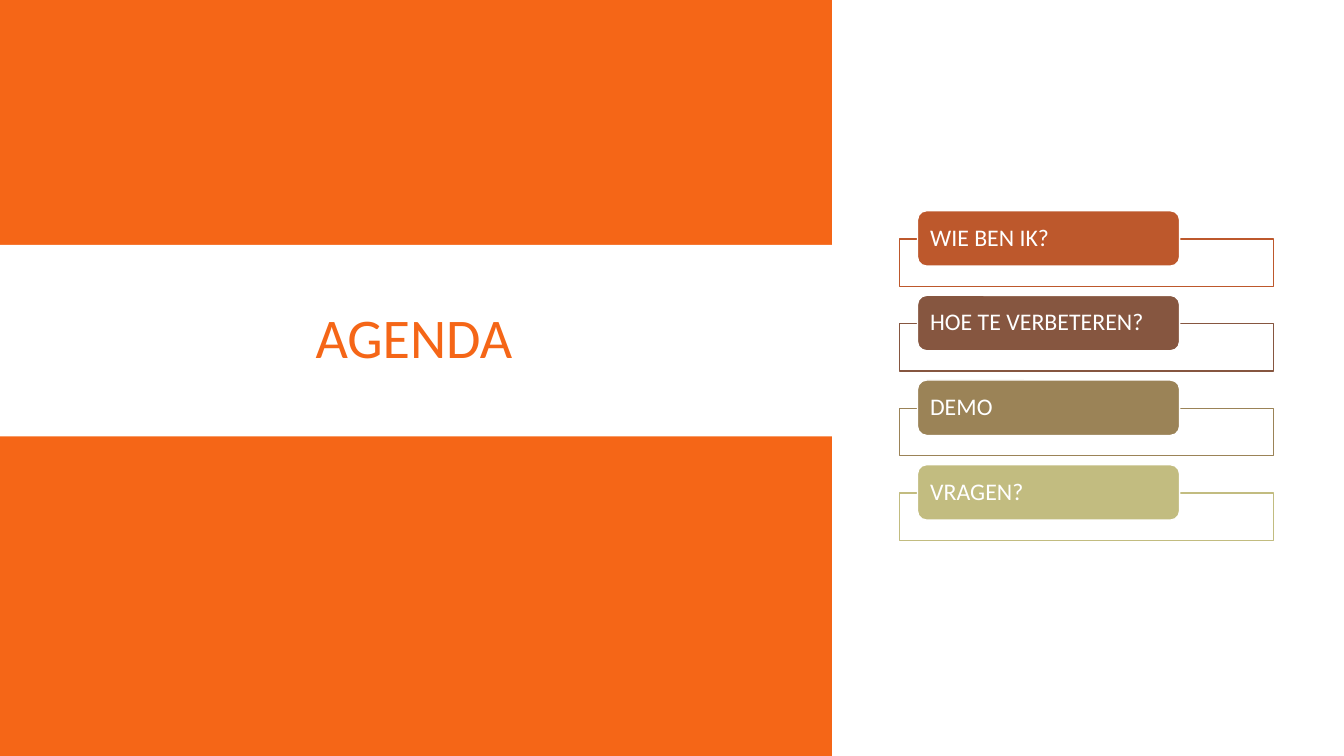
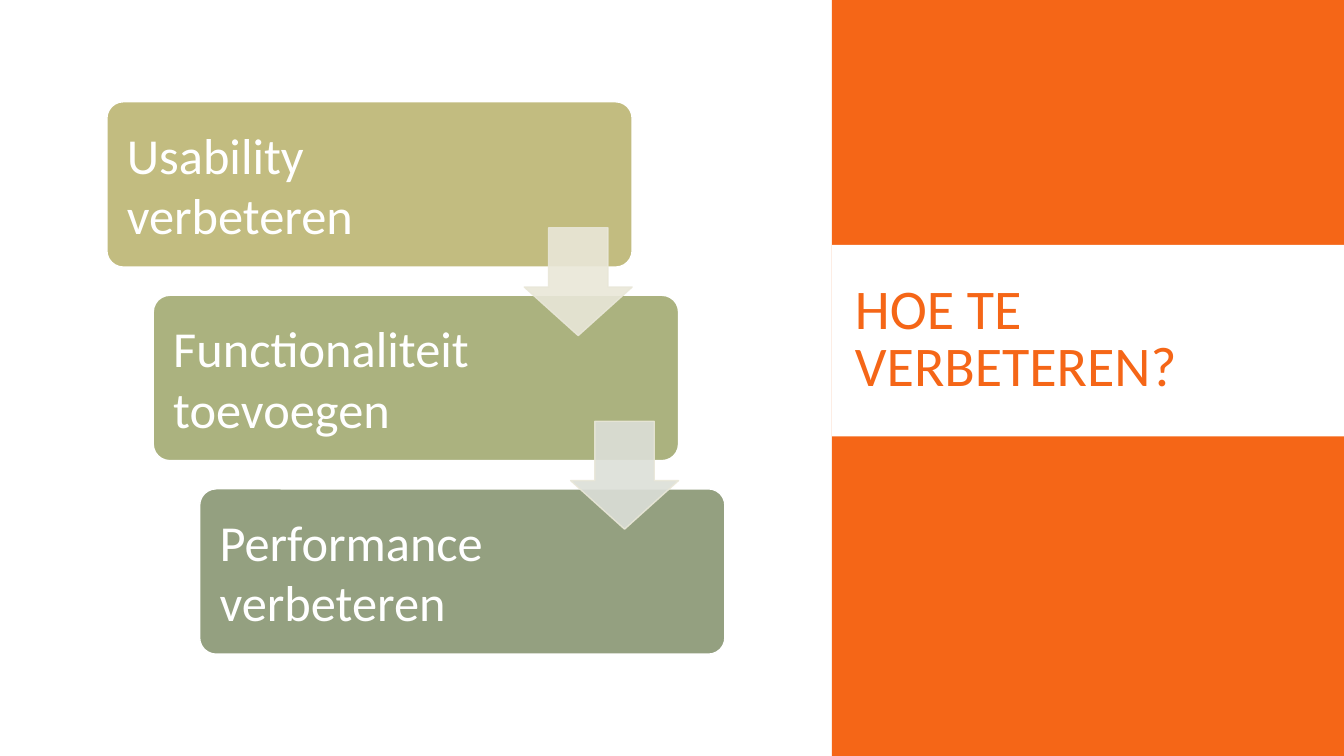
"""Build two Dutch slides: an agenda and three steps for improvement."""
import dataclasses

import lxml.etree
import pptx
import pptx.dml.color
import pptx.enum.shapes
import pptx.enum.text
import pptx.oxml.ns
import pptx.util

Inches = pptx.util.Inches
SHAPE = pptx.enum.shapes.MSO_SHAPE
ALIGN = pptx.enum.text.PP_ALIGN
ANCHOR = pptx.enum.text.MSO_ANCHOR


@dataclasses.dataclass(frozen=True)
class Theme:
    """Colours, font and type sizes shared by the slides."""
    font: str = "Calibri"
    accent: str = "F56617"
    white: str = "FFFFFF"
    arrow_line: str = "E9E7D8"
    title_size: int = 40
    agenda_size: int = 17
    step_size: int = 36
    arrow_opacity: int = 90


THEME = Theme()
SLIDE_WIDTH, SLIDE_HEIGHT = 13.33, 7.5
SPLIT = 8.25
BAND_TOP, BAND_HEIGHT = 2.43, 1.9
AGENDA = (("WIE BEN IK?", "BD582C"), ("HOE TE VERBETEREN?", "865640"),
          ("DEMO", "9B8357"), ("VRAGEN?", "C2BC80"))
STEPS = (("Usability verbeteren", "C2BC80"),
         ("Functionaliteit toevoegen", "ABB27F"),
         ("Performance verbeteren", "94A080"))
ARROW_FILLS = ("E9E7D8", "DCDFD8")


def rgb(colour):
    """Return the colour object for a hex string."""
    return pptx.dml.color.RGBColor.from_string(colour)


def add_block(slide, kind, box, fill, line=None, adjustments=()):
    """Add a filled preset shape with an optional outline."""
    block = slide.shapes.add_shape(kind, *map(Inches, box))
    block.shadow.inherit = False
    block.fill.solid()
    block.fill.fore_color.rgb = rgb(fill)
    if line:
        block.line.color.rgb = rgb(line)
        block.line.width = pptx.util.Pt(1)
    else:
        block.line.fill.background()
    for index, value in enumerate(adjustments):
        block.adjustments[index] = value
    return block


def write(shape, text, size, colour, align=ALIGN.LEFT, spacing=1.0, insets=(0.1, 0.05, 0.1, 0.05)):
    """Write one vertically centred paragraph into a shape."""
    frame = shape.text_frame
    frame.word_wrap = True
    frame.auto_size = pptx.enum.text.MSO_AUTO_SIZE.NONE
    frame.vertical_anchor = ANCHOR.MIDDLE
    (frame.margin_left, frame.margin_top,
     frame.margin_right, frame.margin_bottom) = map(Inches, insets)
    paragraph = frame.paragraphs[0]
    paragraph.alignment = align
    paragraph.line_spacing = spacing
    run = paragraph.add_run()
    run.text = text
    run.font.name = THEME.font
    run.font.size = pptx.util.Pt(size)
    run.font.color.rgb = rgb(colour)


def set_opacity(shape, percent):
    """Make the fill and outline of a shape partly transparent."""
    tag = pptx.oxml.ns.qn("a:srgbClr")
    for colour in shape.element.spPr.iter(tag):
        alpha = lxml.etree.SubElement(colour, pptx.oxml.ns.qn("a:alpha"))
        alpha.set("val", str(percent * 1000))


def add_titled_slide(deck, title, panel_left, panel_width, title_box, align):
    """Add a slide with an orange panel and its title on a white band."""
    slide = deck.slides.add_slide(deck.slide_layouts[5])
    heading = slide.shapes.title
    heading.left, heading.top, heading.width, heading.height = map(Inches, title_box)
    write(heading, title, THEME.title_size, THEME.accent, align, 0.85)
    for top, height, fill in ((0, SLIDE_HEIGHT, THEME.accent),
                              (BAND_TOP, BAND_HEIGHT, THEME.white)):
        panel = add_block(slide, SHAPE.RECTANGLE, (panel_left, top, panel_width, height), fill)
        heading.element.addprevious(panel.element)
    return slide


def add_agenda_item(slide, index, text, colour):
    """Add one agenda label above its outlined bar."""
    top = 2.09 + index * 0.84
    add_block(slide, SHAPE.RECTANGLE, (8.92, top + 0.28, 3.71, 0.47), THEME.white, colour)
    label = add_block(slide, SHAPE.ROUNDED_RECTANGLE, (9.1, top, 2.6, 0.55), colour, THEME.white)
    write(label, text, THEME.agenda_size, THEME.white, spacing=0.9, insets=(0.1, 0, 0.1, 0))


def add_steps(slide):
    """Add the staircase of step cards and the arrows between them."""
    left, top, width, height = 1.06, 1.01, 5.21, 1.64
    shift, pitch, arrow = 0.46, 1.92, 1.07
    for index, (text, colour) in enumerate(STEPS):
        box = (left + index * shift, top + index * pitch, width, height)
        card = add_block(slide, SHAPE.ROUNDED_RECTANGLE, box, colour, THEME.white, (0.1,))
        write(card, text, THEME.step_size, THEME.white, insets=(0.15, 0.15, 1.6, 0.15))
    for index, colour in enumerate(ARROW_FILLS):
        box = (left + width - arrow + index * shift, top + 1.25 + index * pitch, arrow, arrow)
        pointer = add_block(slide, SHAPE.DOWN_ARROW, box, colour, THEME.arrow_line, (0.55, 0.45))
        set_opacity(pointer, THEME.arrow_opacity)


def main():
    """Build and save the presentation."""
    deck = pptx.Presentation()
    deck.slide_width, deck.slide_height = Inches(SLIDE_WIDTH), Inches(SLIDE_HEIGHT)
    agenda = add_titled_slide(deck, "AGENDA", 0, SPLIT, (0.82, 2.56, 6.57, 1.65), ALIGN.CENTER)
    for index, (text, colour) in enumerate(AGENDA):
        add_agenda_item(agenda, index, text, colour)
    improvement = add_titled_slide(deck, "HOE TE VERBETEREN?", SPLIT, SLIDE_WIDTH - SPLIT,
                                   (8.38, 2.56, 4.52, 1.65), ALIGN.LEFT)
    add_steps(improvement)
    deck.save("out.pptx")


if __name__ == "__main__":
    main()
